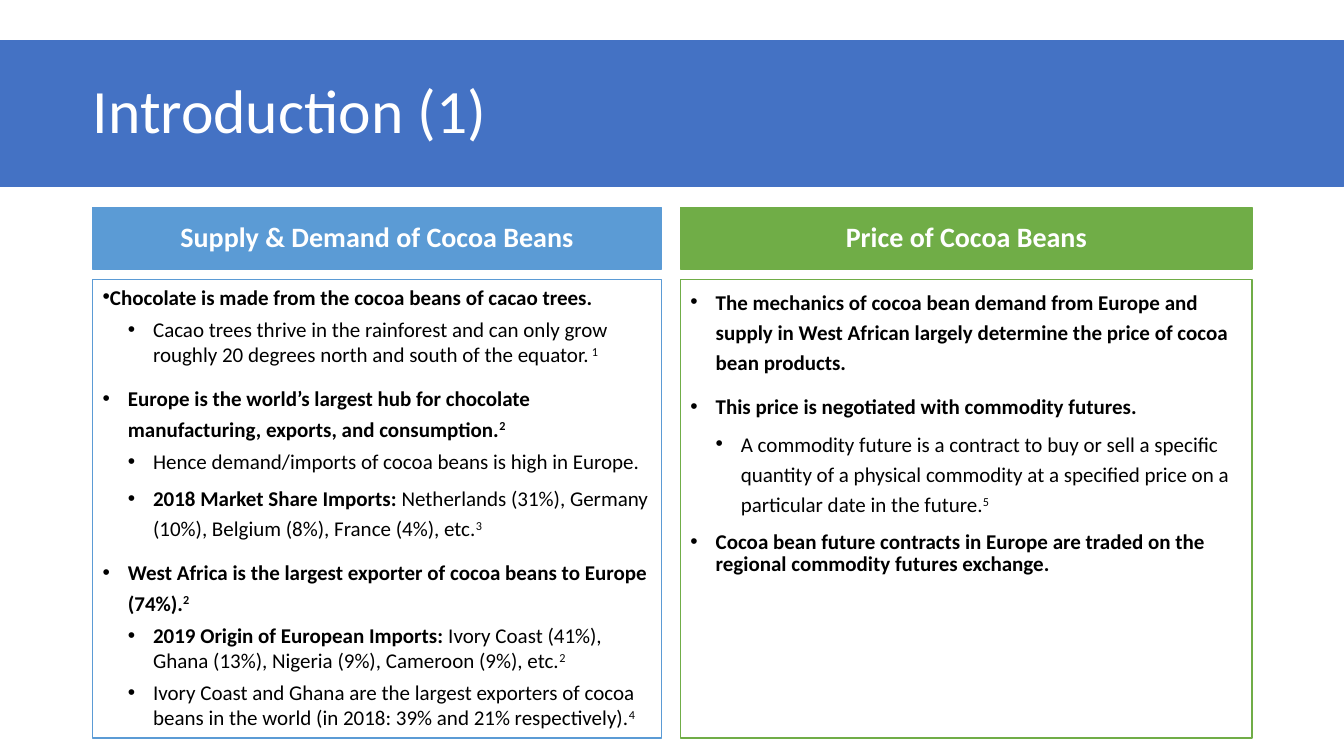
from pptx import Presentation
from pptx.dml.color import RGBColor
from pptx.enum import shapes, text
from pptx.oxml.ns import qn
from pptx import util as u
from lxml import etree

WHITE, BLACK = RGBColor(255, 255, 255), RGBColor(0, 0, 0)
BANNER = RGBColor(0x44, 0x72, 0xC4)
BLUE = RGBColor(0x5B, 0x9B, 0xD5)
GREEN = RGBColor(0x70, 0xAD, 0x47)

TITLE = "Introduction (1)"
# Each point: level, text indent, line spacing, runs; a run is (words, style), b = bold, ^ = superscript
SUPPLY = [
    (0, 0, 1.0, [("Chocolate is made from the cocoa beans of cacao trees.", "b")]),
    (1, 0.5, 1.0, [("Cacao trees thrive in the rainforest and can only grow roughly "
                    "20 degrees north and south of the equator.", ""), (" 1", "^")]),
    (0, 0.25, 1.2, [("Europe is the world’s largest hub for chocolate manufacturing, "
                     "exports, and consumption.", "b"), ("2", "b^")]),
    (1, 0.5, 1.0, [("Hence demand/imports of cocoa beans is high in Europe.", "")]),
    (1, 0.5, 1.2, [("2018 Market Share Imports: ", "b"),
                   ("Netherlands (31%), Germany (10%), Belgium (8%), France (4%), etc.", ""),
                   ("3", "^")]),
    (0, 0.25, 1.2, [("West Africa is the largest exporter of cocoa beans to Europe (74%).", "b"),
                    ("2", "b^")]),
    (1, 0.5, 1.0, [("2019 Origin of European Imports: ", "b"),
                   ("Ivory Coast (41%), Ghana (13%), Nigeria (9%), Cameroon (9%), etc.", ""),
                   ("2", "^")]),
    (1, 0.5, 1.0, [("Ivory Coast and Ghana are the largest exporters of cocoa beans in the "
                    "world (in 2018: 39% and 21% respectively).", ""), ("4", "^")]),
]
PRICE = [
    (0, 0.25, 1.2, [("The mechanics of cocoa bean demand from Europe and supply in West African "
                     "largely determine the price of cocoa bean products.", "b")]),
    (0, 0.25, 1.2, [("This price is negotiated with commodity futures.", "b")]),
    (1, 0.5, 1.2, [("A commodity future is a contract to buy or sell a specific quantity of a "
                    "physical commodity at a specified price on a particular date in the future.", ""),
                   ("5", "^")]),
    (0, 0.25, 0.9, [("Cocoa bean future contracts in Europe are traded on the "
                     "regional commodity futures exchange.", "b")]),
]
# Heading, colour, left, width, points
COLUMNS = [
    ("Supply & Demand of Cocoa Beans", BLUE, 0.92, 5.64, SUPPLY),
    ("Price of Cocoa Beans", GREEN, 6.75, 5.67, PRICE),
]
HEADING_ROW, POINTS_ROW = (2.06, 0.61), (2.77, 4.55)  # top, height
HANG = 0.25


def write(paragraph, runs, size, color, spacing=0.9, before=0, align=text.PP_ALIGN.LEFT):
    paragraph.alignment = align
    paragraph.line_spacing = spacing
    paragraph.space_before = u.Pt(before)
    for words, style in runs:
        run = paragraph.add_run()
        run.text = words
        run.font.name = "Calibri"
        run.font.size = u.Pt(size)
        run.font.color.rgb = color
        run.font.bold = "b" in style
        if "^" in style:
            run.font._element.set("baseline", "30000")


def bullet(paragraph, indent):
    props = paragraph._p.get_or_add_pPr()
    props.set("marL", str(u.Inches(indent)))
    props.set("indent", str(-u.Inches(HANG)))
    etree.SubElement(props, qn("a:buFont")).set("typeface", "Arial")
    etree.SubElement(props, qn("a:buChar")).set("char", "•")


def paint(shape, fill, line, width, anchor):
    shape.fill.solid()
    shape.fill.fore_color.rgb = fill
    shape.line.color.rgb = line
    shape.line.width = u.Pt(width)
    frame = shape.text_frame
    frame.word_wrap = True
    frame.auto_size = text.MSO_AUTO_SIZE.NONE
    frame.vertical_anchor = anchor
    return frame


def box(slide, left, row, width, fill, line, anchor):
    top, height = row
    shape = slide.shapes.add_shape(shapes.MSO_SHAPE.RECTANGLE, u.Inches(left), u.Inches(top),
                                   u.Inches(width), u.Inches(height))
    shape.shadow.inherit = False
    return paint(shape, fill, line, 1, anchor)


def main():
    deck = Presentation()
    deck.slide_width, deck.slide_height = u.Inches(13.33), u.Inches(7.5)
    slide = deck.slides.add_slide(deck.slide_layouts[5])

    banner = slide.shapes.title
    banner.left, banner.top = 0, u.Inches(0.4)
    banner.width, banner.height = deck.slide_width, u.Inches(1.45)
    title = paint(banner, BANNER, BANNER, 0.75, text.MSO_ANCHOR.MIDDLE)
    title.margin_left = u.Inches(COLUMNS[0][2])
    write(title.paragraphs[0], [(TITLE, "")], 44, WHITE)

    for heading, color, left, width, points in COLUMNS:
        head = box(slide, left, HEADING_ROW, width, color, color, text.MSO_ANCHOR.MIDDLE)
        write(head.paragraphs[0], [(heading, "b")], 20, WHITE, before=10,
              align=text.PP_ALIGN.CENTER)
        body = box(slide, left, POINTS_ROW, width, WHITE, color, text.MSO_ANCHOR.TOP)
        for number, (level, indent, spacing, runs) in enumerate(points):
            point = body.add_paragraph() if number else body.paragraphs[0]
            point.level = level
            write(point, runs, 15, BLACK, spacing, before=5 if level else 10)
            bullet(point, indent)

    deck.save("out.pptx")


if __name__ == "__main__":
    main()
